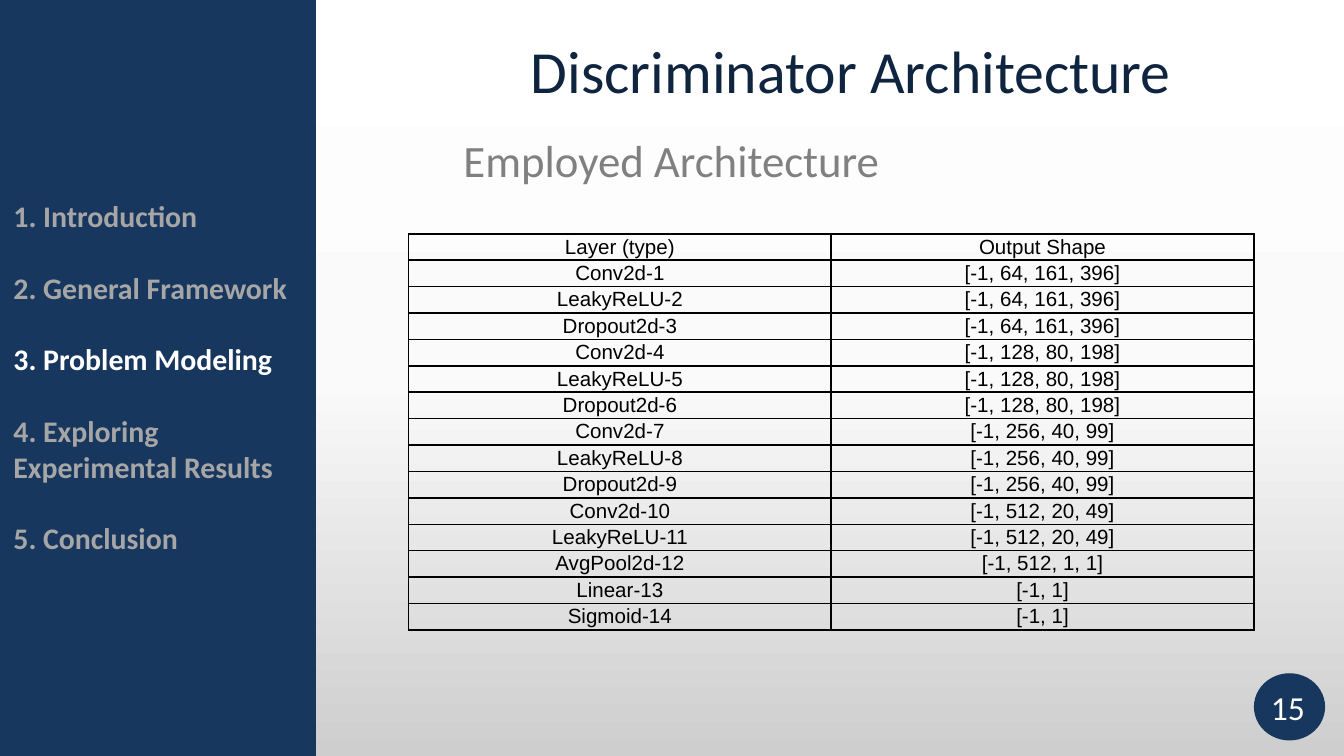
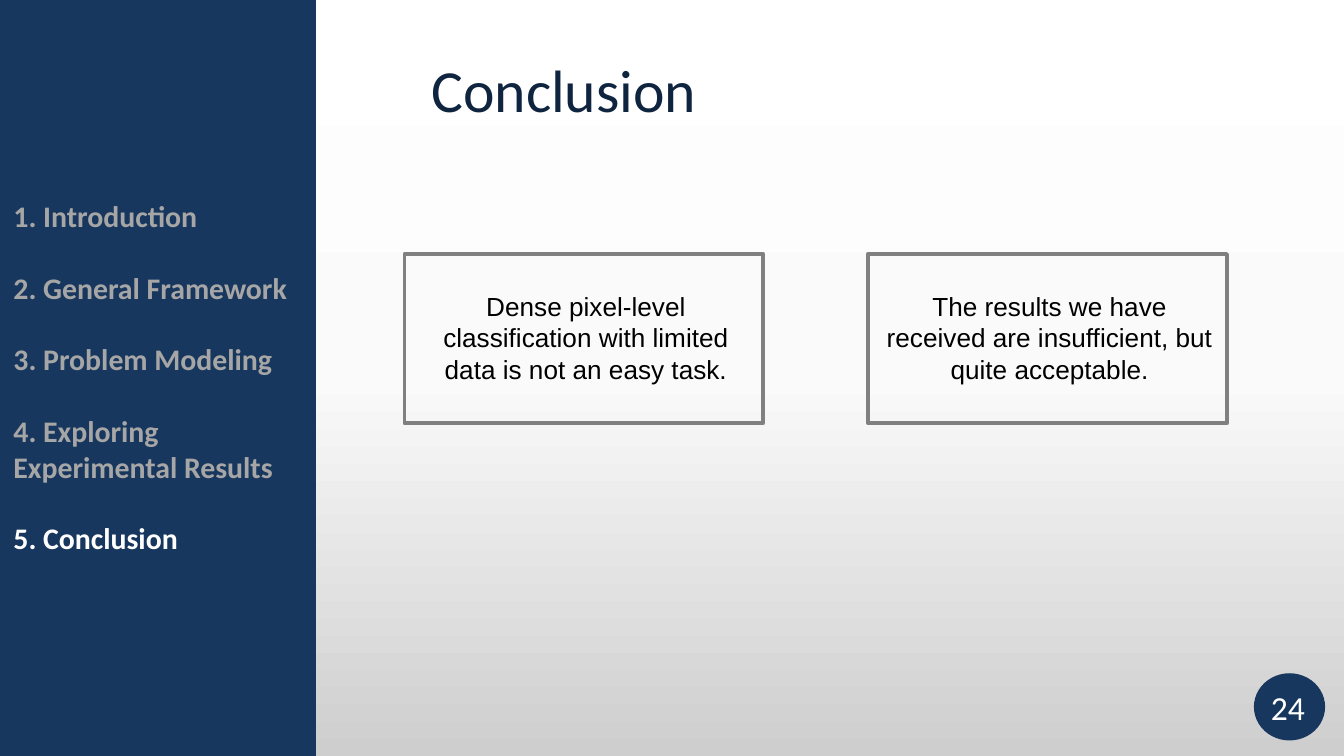
"""Build the discriminator architecture and conclusion slides."""
from copy import deepcopy
from dataclasses import dataclass

from lxml import etree
from pptx import Presentation
from pptx import util as u
from pptx.dml.color import RGBColor
from pptx.enum import shapes, text
from pptx.oxml import ns


@dataclass(frozen=True)
class Theme:
    navy: str = "17375E"
    title_ink: str = "0F243E"
    grey: str = "808080"
    muted: str = "A6A6A6"
    white: str = "FFFFFF"
    black: str = "000000"
    backdrop: tuple = ((0, "FFFFFF"), (0.5, "FAFAFA"), (1, "CECECE"))
    heading_font: str = "Calibri"
    body_font: str = "Arial"
    title_size: int = 32
    subtitle_size: int = 24
    number_size: int = 18
    outline_size: int = 16
    outline_gap: float = 19.2
    message_size: int = 14
    table_size: int = 11


theme = Theme()
SECTIONS = ["1. Introduction", "2. General Framework", "3. Problem Modeling",
            "4. Exploring Experimental Results", "5. Conclusion"]
PAGES = [
    {"title": "Discriminator Architecture", "title_at": (3.85, 0.2, 5.28, 0.64),
     "number": "15", "section": 2},
    {"title": "Conclusion", "title_at": (3.11, 0.34, 3.91, 0.64),
     "number": "24", "section": 4},
]
LAYERS = [
    ("Layer (type)", "Output Shape"),
    ("Conv2d-1", "[-1, 64, 161, 396]"),
    ("LeakyReLU-2", "[-1, 64, 161, 396]"),
    ("Dropout2d-3", "[-1, 64, 161, 396]"),
    ("Conv2d-4", "[-1, 128, 80, 198]"),
    ("LeakyReLU-5", "[-1, 128, 80, 198]"),
    ("Dropout2d-6", "[-1, 128, 80, 198]"),
    ("Conv2d-7", "[-1, 256, 40, 99]"),
    ("LeakyReLU-8", "[-1, 256, 40, 99]"),
    ("Dropout2d-9", "[-1, 256, 40, 99]"),
    ("Conv2d-10", "[-1, 512, 20, 49]"),
    ("LeakyReLU-11", "[-1, 512, 20, 49]"),
    ("AvgPool2d-12", "[-1, 512, 1, 1]"),
    ("Linear-13", "[-1, 1]"),
    ("Sigmoid-14", "[-1, 1]"),
]
MESSAGES = ["Dense pixel-level classification with limited data is not an easy task.",
            "The results we have received are insufficient, but quite acceptable."]


def write(paragraph, words, size, color, face=theme.heading_font, bold=False,
          align=text.PP_ALIGN.LEFT):
    paragraph.text = words
    paragraph.alignment = align
    for name, value in {"name": face, "size": u.Pt(size), "bold": bold}.items():
        setattr(paragraph.font, name, value)
    paragraph.font.color.rgb = RGBColor.from_string(color)


def place(part, box, anchor=text.MSO_ANCHOR.TOP):
    for name, value in zip(("left", "top", "width", "height"), box):
        setattr(part, name, u.Inches(value))
    frame_format = {"word_wrap": True, "vertical_anchor": anchor,
                    "auto_size": text.MSO_AUTO_SIZE.NONE}
    for name, value in frame_format.items():
        setattr(part.text_frame, name, value)
    return part.text_frame


deck = Presentation()
deck.slide_width, deck.slide_height = u.Inches(10), u.Inches(10 * 9 / 16)

backdrop = deck.slide_master.background.fill
backdrop.gradient()
backdrop.gradient_angle = 270
first_stop = deck.slide_master.element.xpath("./p:cSld/p:bg//a:gs")[0]
first_stop.addnext(deepcopy(first_stop))
for stop, (position, color) in zip(backdrop.gradient_stops, theme.backdrop):
    stop.position = position
    stop.color.rgb = RGBColor.from_string(color)

slides = []
for page in PAGES:
    slide = deck.slides.add_slide(deck.slide_layouts[1])
    slides.append(slide)
    title, outline = slide.placeholders
    write(place(title, page["title_at"]).paragraphs[0], page["title"],
          theme.title_size, theme.title_ink)

    band = slide.shapes.add_shape(shapes.MSO_SHAPE.RECTANGLE, u.Inches(0),
                                  u.Inches(-0.09), u.Inches(2.34), u.Inches(5.82))
    badge = slide.shapes.add_shape(shapes.MSO_SHAPE.OVAL, u.Inches(9.33),
                                   u.Inches(5.01), u.Inches(0.53), u.Inches(0.5))
    for part in (band, badge):
        part.shadow.inherit = False
        part.fill.solid()
        part.fill.fore_color.rgb = RGBColor.from_string(theme.navy)
    band.line.color.rgb = RGBColor.from_string(theme.navy)
    band.line.width = u.Pt(2)
    badge.line.fill.background()

    band._element.addnext(outline._element)
    sections = place(outline, (0, 1.42, 2.5, 2.79))
    for index, section in enumerate(SECTIONS):
        entry = sections.add_paragraph() if index else sections.paragraphs[0]
        properties = entry._p.get_or_add_pPr()
        properties.set("marL", "0")
        properties.set("indent", "0")
        etree.SubElement(properties, ns.qn("a:buNone"))
        current = index == page["section"]
        write(entry, section, theme.outline_size,
              theme.white if current else theme.muted, bold=True)
        entry.space_before = u.Pt(theme.outline_gap if index else 0)

    number = slide.shapes.add_textbox(0, 0, 0, 0)
    number_frame = place(number, (7.53, 5.11, 2.25, 0.3), text.MSO_ANCHOR.MIDDLE)
    for side, inset in {"left": 0.07, "right": 0.07, "top": 0.04, "bottom": 0.04}.items():
        setattr(number_frame, f"margin_{side}", u.Inches(inset))
    write(number_frame.paragraphs[0], page["number"], theme.number_size, theme.white,
          align=text.PP_ALIGN.RIGHT)

architecture, conclusion = slides

subtitle = architecture.shapes.add_textbox(0, 0, 0, 0)
write(place(subtitle, (3.35, 0.94, 3.39, 0.5)).paragraphs[0], "Employed Architecture",
      theme.subtitle_size, theme.grey)

layers = architecture.shapes.add_table(len(LAYERS), 2, u.Inches(3.04), u.Inches(1.74),
                                       u.Inches(6.29), u.Inches(2.95)).table
layers.first_row = layers.horz_banding = False
for row, values in enumerate(LAYERS):
    for column, value in enumerate(values):
        cell = layers.cell(row, column)
        for side, inset in {"left": 0.07, "right": 0.07, "top": 0, "bottom": 0}.items():
            setattr(cell, f"margin_{side}", u.Inches(inset))
        paragraph = cell.text_frame.paragraphs[0]
        write(paragraph, value, theme.table_size, theme.black, theme.body_font,
              align=text.PP_ALIGN.CENTER)
        paragraph.line_spacing = 1.07
        borders = cell._tc.get_or_add_tcPr()
        for edge in ("lnL", "lnR", "lnT", "lnB"):
            border = etree.SubElement(borders, ns.qn(f"a:{edge}"), w=str(u.Pt(1)))
            ink = etree.SubElement(border, ns.qn("a:solidFill"))
            etree.SubElement(ink, ns.qn("a:srgbClr"), val=theme.black)
        cell.fill.background()

for index, message in enumerate(MESSAGES):
    left = 3.01 + index * 3.45
    statement = conclusion.shapes.add_textbox(0, 0, 0, 0)
    write(place(statement, (left + 0.03, 2.11, 2.64, 0.81)).paragraphs[0], message,
          theme.message_size, theme.black, theme.body_font, align=text.PP_ALIGN.CENTER)
    border = conclusion.shapes.add_shape(shapes.MSO_SHAPE.RECTANGLE, u.Inches(left),
                                         u.Inches(1.89), u.Inches(2.67), u.Inches(1.26))
    border.shadow.inherit = False
    border.fill.background()
    border.line.color.rgb = RGBColor.from_string(theme.grey)
    border.line.width = u.Pt(2)

deck.save("out.pptx")
